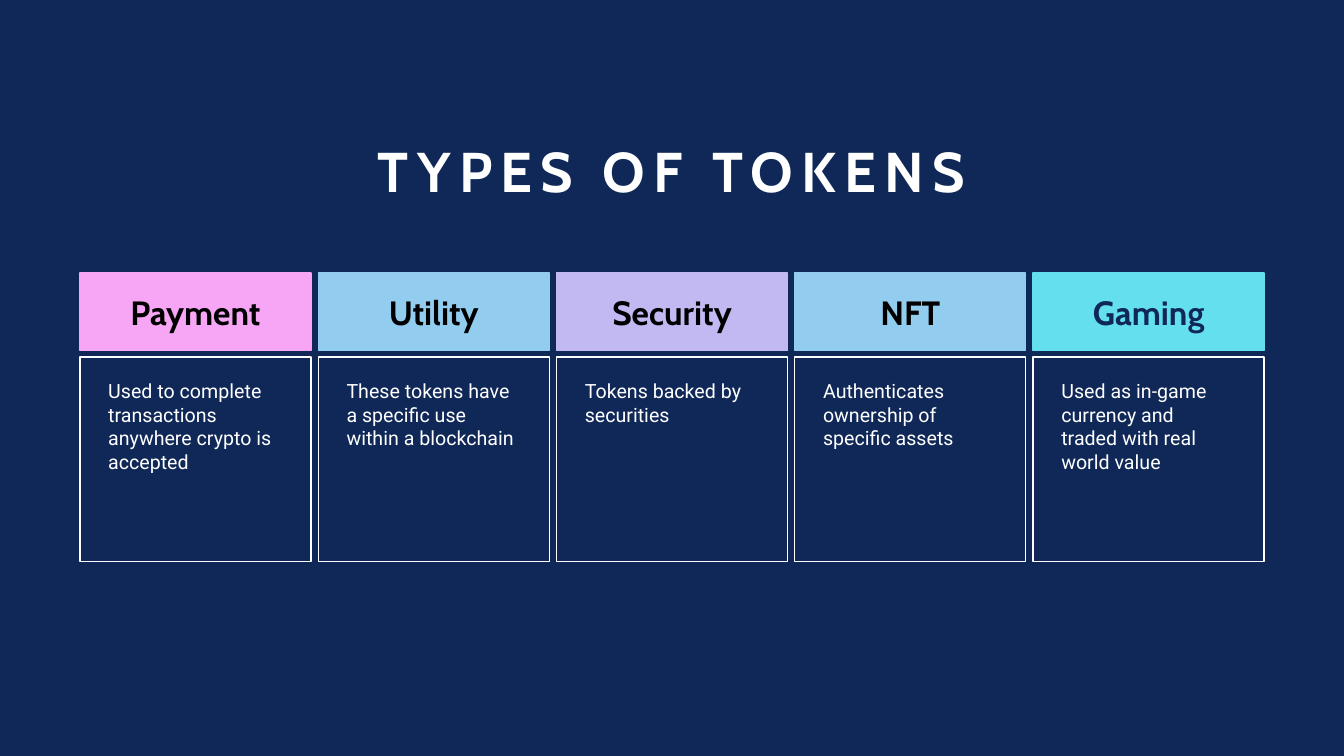
import dataclasses

import pptx
import pptx.dml.color
import pptx.enum.shapes
import pptx.enum.text
import pptx.util

Pt = pptx.util.Pt
Align = pptx.enum.text.PP_ALIGN
Anchor = pptx.enum.text.MSO_ANCHOR


@dataclasses.dataclass(frozen=True)
class Theme:
    navy: str = "102857"
    white: str = "FFFFFF"
    black: str = "000000"
    pink: str = "F6A6F4"
    blue: str = "92CDF0"
    lilac: str = "C3B9F2"
    cyan: str = "64DFED"
    heading_font: str = "Cabin"
    body_font: str = "Roboto"
    title_size: float = 40
    heading_size: float = 24
    body_size: float = 14


THEME = Theme()

TOKENS = [
    ("Payment", THEME.pink, THEME.black,
     "Used to complete transactions anywhere crypto is accepted"),
    ("Utility", THEME.blue, THEME.black,
     "These tokens have a specific use within a blockchain"),
    ("Security", THEME.lilac, THEME.black, "Tokens backed by securities"),
    ("NFT", THEME.blue, THEME.black,
     "Authenticates ownership of specific assets"),
    ("Gaming", THEME.cyan, THEME.navy,
     "Used as in-game currency and traded with real world value"),
]

SLIDE_WIDTH, SLIDE_HEIGHT = 960, 540
COLUMN_WIDTH, COLUMN_GAP = 165, 5.2
HEADING_TOP, HEADING_HEIGHT = 195, 55.5
BODY_TOP, BODY_HEIGHT = 255, 146
GRID_WIDTH = len(TOKENS) * (COLUMN_WIDTH + COLUMN_GAP) - COLUMN_GAP
GRID_LEFT = (SLIDE_WIDTH - GRID_WIDTH) / 2


def rgb(value):
    return pptx.dml.color.RGBColor.from_string(value)


def write(frame, text, *, font, size, color, bold=False, align=Align.LEFT,
          anchor=Anchor.TOP, insets=(7.2, 3.6, 7.2, 3.6), line_spacing=1.0,
          letter_spacing=0):
    """Fill a text frame; insets run left, top, right, bottom."""
    frame.word_wrap = True
    frame.auto_size = pptx.enum.text.MSO_AUTO_SIZE.NONE
    frame.vertical_anchor = anchor
    (frame.margin_left, frame.margin_top,
     frame.margin_right, frame.margin_bottom) = map(Pt, insets)
    para = frame.paragraphs[0]
    para.alignment = align
    para.line_spacing = line_spacing
    span = para.add_run()
    span.text = text
    span.font.name = font
    span.font.size = Pt(size)
    span.font.bold = bold
    span.font.color.rgb = rgb(color)
    if letter_spacing:
        span.font._element.set("spc", str(round(letter_spacing * 100)))


class SlideBuilder:
    def __init__(self, deck, theme):
        self.theme = theme
        self.page = deck.slides.add_slide(deck.slide_layouts.get_by_name("Title Only"))
        self.page.background.fill.solid()
        self.page.background.fill.fore_color.rgb = rgb(theme.navy)

    def title(self, text, left, top, width, height):
        box = self.page.shapes.title
        box.left, box.top, box.width, box.height = map(Pt, (left, top, width, height))
        write(box.text_frame, text, font=self.theme.heading_font,
              size=self.theme.title_size, color=self.theme.white, bold=True,
              align=Align.CENTER, anchor=Anchor.BOTTOM, line_spacing=0.9,
              letter_spacing=6)

    def rectangle(self, left, top, width, height, line, fill=None):
        box = self.page.shapes.add_shape(
            pptx.enum.shapes.MSO_SHAPE.RECTANGLE,
            *map(Pt, (left, top, width, height)))
        box.shadow.inherit = False
        box.line.color.rgb = rgb(line)
        box.line.width = Pt(1)
        if fill:
            box.fill.solid()
            box.fill.fore_color.rgb = rgb(fill)
        else:
            box.fill.background()
        return box

    def heading(self, text, left, fill, color):
        box = self.rectangle(left, HEADING_TOP, COLUMN_WIDTH, HEADING_HEIGHT,
                             line=fill, fill=fill)
        write(box.text_frame, text, font=self.theme.heading_font,
              size=self.theme.heading_size, color=color, bold=True,
              align=Align.CENTER, anchor=Anchor.MIDDLE)

    def description(self, text, left):
        box = self.rectangle(left, BODY_TOP, COLUMN_WIDTH, BODY_HEIGHT,
                             line=self.theme.white)
        write(box.text_frame, text, font=self.theme.body_font,
              size=self.theme.body_size, color=self.theme.white,
              insets=(20.2, 15.8, 21.6, 3.6))


def main():
    deck = pptx.Presentation()
    deck.slide_width, deck.slide_height = Pt(SLIDE_WIDTH), Pt(SLIDE_HEIGHT)
    builder = SlideBuilder(deck, THEME)
    builder.title("TYPES OF TOKENS", 130.5, 65.5, 699, 84)
    for column, (name, fill, color, description) in enumerate(TOKENS):
        left = GRID_LEFT + column * (COLUMN_WIDTH + COLUMN_GAP)
        builder.heading(name, left, fill, color)
        builder.description(description, left)
    deck.save("out.pptx")


if __name__ == "__main__":
    main()
